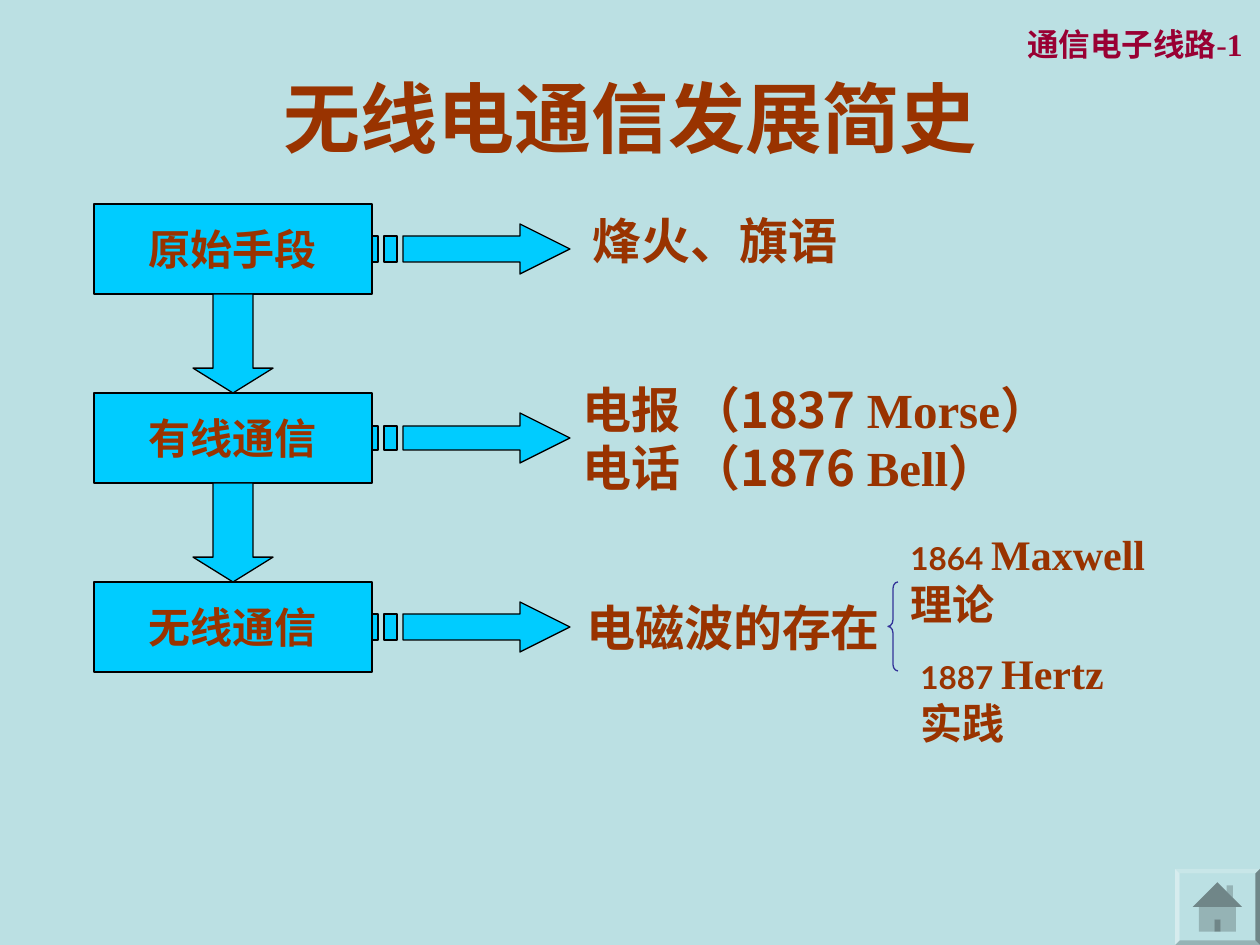
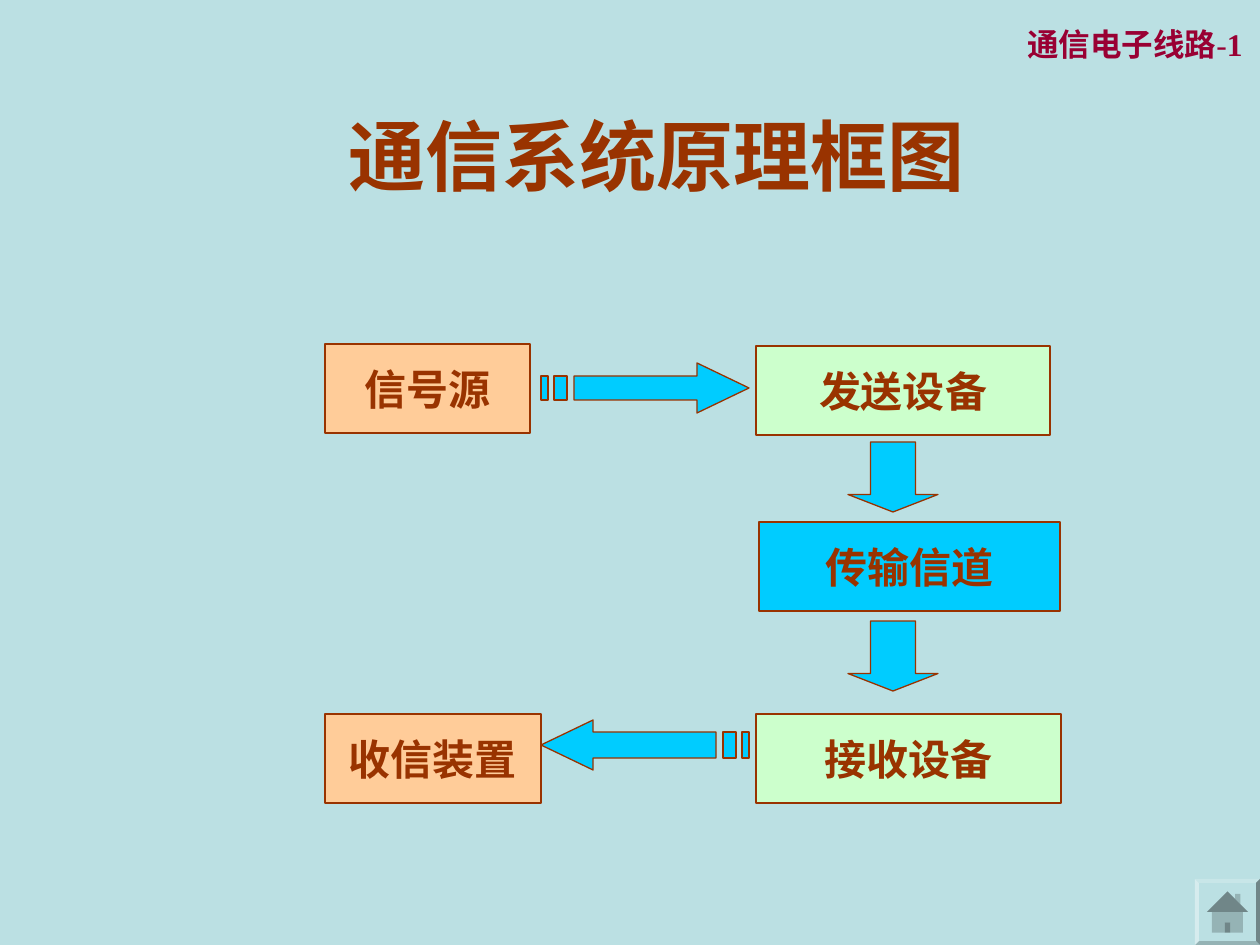
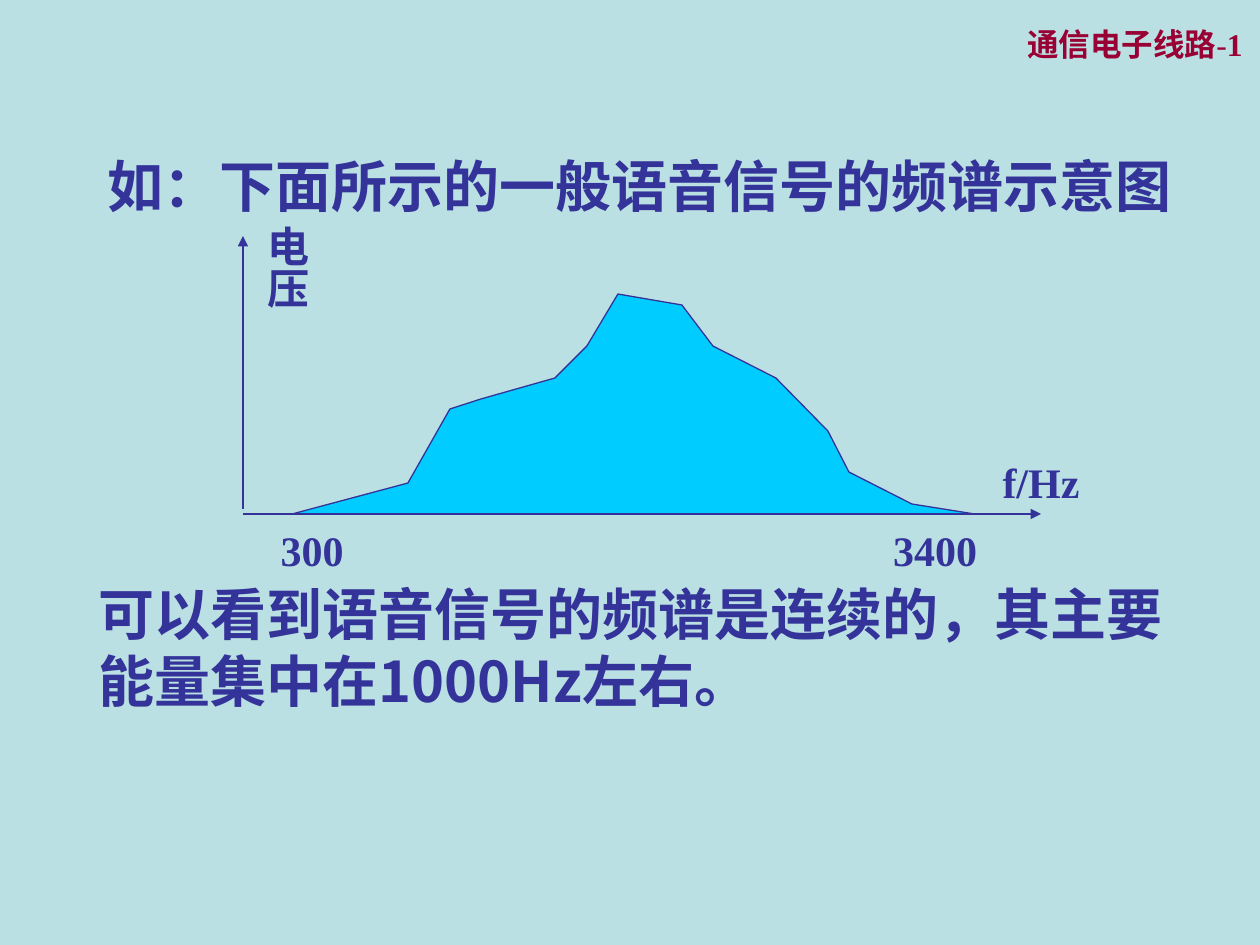
"""Build three slides on radio history, a communication system and a speech spectrum."""
from lxml.etree import SubElement
from pptx import Presentation
from pptx.dml.color import RGBColor as Rgb
from pptx.enum.shapes import MSO_CONNECTOR as Conn, MSO_SHAPE as Geo
from pptx.enum.text import MSO_ANCHOR as Anchor, MSO_AUTO_SIZE as Fit, PP_ALIGN as Align
from pptx.oxml.ns import qn
from pptx.util import Emu, Pt

UNIT = 914400 / 126
WIDE, HIGH = 1260, 945
CJK = "Noto Sans CJK SC"
ROMAN = "Times New Roman"

THEME = {
    "back": "BBE0E3", "cyan": "00CCFF", "peach": "FFCC99", "mint": "CCFFCC",
    "black": "000000", "brown": "993300", "navy": "333399", "wine": "990033",
    "line": 0.75,
}
STYLES = {
    "title": ("Arial", 44, "brown", True),
    "head": (ROMAN, 18, "wine", True),
    "dash": (ROMAN, 18, "wine", False),
    "box": ("Lato", 24, "brown", True),
    "note": ("Lato", 28, "brown", True),
    "fact": (CJK, 28, "brown", True),
    "name": (ROMAN, 28, "brown", True),
    "year": ("Lato", 18, "brown", True),
    "who": (ROMAN, 24, "brown", True),
    "what": (CJK, 24, "brown", True),
    "lead": (ROMAN, 32, "navy", True),
    "body": (CJK, 32, "navy", True),
    "axis": (ROMAN, 24, "navy", True),
}

HEAD = [[("通信电子线路", "head"), ("-", "dash"), ("1", "head")]]

STAGES = ["原始手段", "有线通信", "无线通信"]
STAGE = (94, 204, 278, 90)
STEP = 189
NOTES = [
    ((580, 204, 387, 72), [[("烽火、旗语", "note")]], True),
    ((570, 373, 536, 189), [
        [("电报 （1837 ", "fact"), ("Morse", "name"), ("）", "fact")],
        [("电话 （1876 ", "fact"), ("Bell", "name"), ("）", "fact")]], True),
    ((574, 591, 329, 72), [[("电磁波的存在", "note")]], False),
    ((898, 522, 297, 113),
     [[("1864 ", "year"), ("Maxwell ", "who"), ("理论", "what")]], True),
    ((908, 641, 248, 113),
     [[("1887 ", "year"), ("Hertz ", "who"), ("实践", "what")]], True),
]

BLOCKS = [
    ("信号源", (325, 344, 205, 89), "peach"),
    ("发送设备", (756, 346, 294, 89), "mint"),
    ("传输信道", (759, 522, 301, 89), "cyan"),
    ("接收设备", (756, 714, 305, 89), "mint"),
    ("收信装置", (325, 714, 216, 89), "peach"),
]
DROPS = [(848, 442, 90, 70), (848, 621, 90, 70)]
SENDS = [((541, 363, 208, 50), 0), ((541, 720, 208, 50), 180)]

CURVE = [(292, 514), (975, 514), (912, 504), (849, 472), (828, 431), (776, 378),
         (713, 346), (682, 305), (618, 294), (587, 346), (555, 378), (481, 399),
         (450, 409), (408, 483)]
AXES = [(243, 514, 1041, 514), (243, 509, 243, 236)]
LINES = [
    ((95, 145, 1150, 81), ["如：下面所示的一般语音信号的频谱示意图"], "lead"),
    ((86, 573, 1150, 147), ["可以看到语音信号的频谱是连续的，其主要",
                            "能量集中在1000Hz左右。"], "body"),
]
MARKS = [("f/Hz", (980, 450, 122, 63)), ("300", (251, 518, 122, 63)),
         ("3400", (874, 518, 122, 63))]
VOLT = ("电压", (249, 213, 76, 97))


def px(*vals):
    """Turn pixel lengths into EMU."""
    return [Emu(round(v * UNIT)) for v in vals]


def tint(name):
    """Look up a theme colour."""
    return Rgb.from_string(THEME[name])


def apply(obj, vals):
    """Set each named value on an object."""
    for key, val in vals.items():
        setattr(obj, key, val)


def write(frame, paras, align=Align.LEFT):
    """Fill a text frame with paragraphs of styled runs."""
    for num, runs in enumerate(paras):
        para = frame.add_paragraph() if num else frame.paragraphs[0]
        para.alignment = align
        for text, style in runs:
            run = para.add_run()
            run.text = text
            face, size, hue, bold = STYLES[style]
            apply(run.font, {"name": face, "size": Pt(size), "bold": bold})
            run.font.color.rgb = tint(hue)
            SubElement(run.font._element, qn("a:ea"), typeface=CJK)


def label(slide, at, paras, wrap=False, align=Align.LEFT, anchor=Anchor.TOP):
    """Add a text box that fits its text."""
    box = slide.shapes.add_textbox(*px(*at))
    apply(box.text_frame, {"word_wrap": wrap, "auto_size": Fit.SHAPE_TO_FIT_TEXT,
                           "vertical_anchor": anchor})
    write(box.text_frame, paras, align)
    return box


def paint(shape, fill, edge):
    """Give a shape its fill and outline."""
    shape.shadow.inherit = False
    if fill:
        shape.fill.solid()
        shape.fill.fore_color.rgb = tint(fill)
    else:
        shape.fill.background()
    if edge:
        shape.line.color.rgb = tint(edge)
        shape.line.width = Pt(THEME["line"])
    else:
        shape.line.fill.background()


def draw(slide, geo, at, fill, edge, adj=()):
    """Add a painted preset shape."""
    shape = slide.shapes.add_shape(geo, *px(*at))
    for num, val in enumerate(adj):
        shape.adjustments[num] = val
    paint(shape, fill, edge)
    return shape


def trace(slide, rings, fill, edge):
    """Add a painted shape made of closed outlines."""
    pen = slide.shapes.build_freeform(*rings[0][0], scale=UNIT)
    for num, ring in enumerate(rings):
        if num:
            pen.move_to(*ring[0])
        pen.add_line_segments(ring[1:], close=True)
    shape = pen.convert_to_shape()
    paint(shape, fill, edge)
    return shape


def striped(slide, at, edge, turn=0):
    """Add a right arrow with two stripes at its tail."""
    left, top, wide, high = at
    tail, one, two, three, shaft, neck, tip = [
        left + wide * part / 32 for part in (0, 1, 2, 4, 5, 24, 32)]
    up, mid, low = [top + high * part / 4 for part in (1, 2, 3)]
    arrow = [(neck, top), (neck, up), (shaft, up), (shaft, low), (neck, low),
             (neck, top + high), (tip, mid)]
    bars = [[(a, up), (a, low), (b, low), (b, up)] for a, b in ((two, three), (tail, one))]
    trace(slide, [arrow, *bars], "cyan", edge).rotation = turn


def block(slide, text, at, fill, edge):
    """Add a rectangle with a centred caption."""
    shape = draw(slide, Geo.RECTANGLE, at, fill, edge)
    apply(shape.text_frame, {"word_wrap": False, "vertical_anchor": Anchor.MIDDLE})
    write(shape.text_frame, [[(text, "box")]], Align.CENTER)


def home(slide, wide, high, rim=5):
    """Put the bevelled home button in the bottom right corner."""
    x, y = WIDE - wide, HIGH - high
    draw(slide, Geo.BEVEL, (x, y, wide, high), "back", None, (0.06,))
    draw(slide, Geo.ACTION_BUTTON_HOME, (x + rim, y + rim, wide - 2 * rim, high - 2 * rim),
         "back", None)


def titled(deck, text, at):
    """Add a slide with a placed title."""
    slide = deck.slides.add_slide(deck.slide_layouts[5])
    title = slide.shapes.title
    apply(title, dict(zip(("left", "top", "width", "height"), px(*at))))
    title.text_frame.vertical_anchor = Anchor.MIDDLE
    write(title.text_frame, [[(text, "title")]], Align.CENTER)
    return slide


def history(deck):
    """Build the history slide."""
    slide = titled(deck, "无线电通信发展简史", (63, 38, 1134, 158))
    left, top, wide, high = STAGE
    for num, text in enumerate(STAGES):
        y = top + num * STEP
        block(slide, text, (left, y, wide, high), "cyan", "black")
        striped(slide, (left + wide, y + 20, 198, 50), "black")
        if num:
            draw(slide, Geo.DOWN_ARROW, (left + wide // 2 - 40, y + high - STEP, 80, STEP - high),
                 "cyan", "black", (0.5, 0.31))
    for at, paras, wrap in NOTES:
        label(slide, at, paras, wrap)
    draw(slide, Geo.LEFT_BRACE, (888, 582, 10, 89), None, "navy", (0.65, 0.5))
    home(slide, 85, 76)
    return slide


def system(deck):
    """Build the block diagram slide."""
    slide = titled(deck, "通信系统原理框图", (198, 76, 918, 158))
    for text, at, fill in BLOCKS:
        block(slide, text, at, fill, "brown")
    for at in DROPS:
        draw(slide, Geo.DOWN_ARROW, at, "cyan", "brown", (0.5, 0.25))
    for at, turn in SENDS:
        striped(slide, at, "brown", turn)
    home(slide, 65, 66)


def spectrum(deck):
    """Build the speech spectrum slide."""
    slide = deck.slides.add_slide(deck.slide_layouts[6])
    trace(slide, [CURVE], "cyan", "navy")
    for ends in AXES:
        axis = slide.shapes.add_connector(Conn.STRAIGHT, *px(*ends))
        axis.line.color.rgb = tint("navy")
        axis.line.width = Pt(THEME["line"])
        SubElement(axis.line._get_or_add_ln(), qn("a:tailEnd"), type="triangle")
        SubElement(axis.element.spPr, qn("a:effectLst"))
    for at, rows, style in LINES:
        label(slide, at, [[(row, style)] for row in rows], wrap=True)
    for text, at in MARKS:
        label(slide, at, [[(text, "axis")]], True, Align.CENTER, Anchor.MIDDLE)
    text, at = VOLT
    volt = label(slide, at, [[(text, "axis")]], align=Align.CENTER, anchor=Anchor.MIDDLE)
    thin, thick = px(6, 13)
    apply(volt.text_frame, {"margin_left": thin, "margin_right": thin,
                            "margin_top": thick, "margin_bottom": thick})
    volt.text_frame._txBody.bodyPr.set("vert", "eaVert")


def main():
    """Build and save the deck."""
    deck = Presentation()
    deck.slide_width, deck.slide_height = px(WIDE, HIGH)
    master = deck.slide_master
    master.background.fill.solid()
    master.background.fill.fore_color.rgb = tint("back")
    first = history(deck)
    head = label(first, (1011, 19, 248, 50), HEAD, align=Align.CENTER)
    master.shapes.element.append(head.element)
    system(deck)
    spectrum(deck)
    deck.save("out.pptx")


if __name__ == "__main__":
    main()
